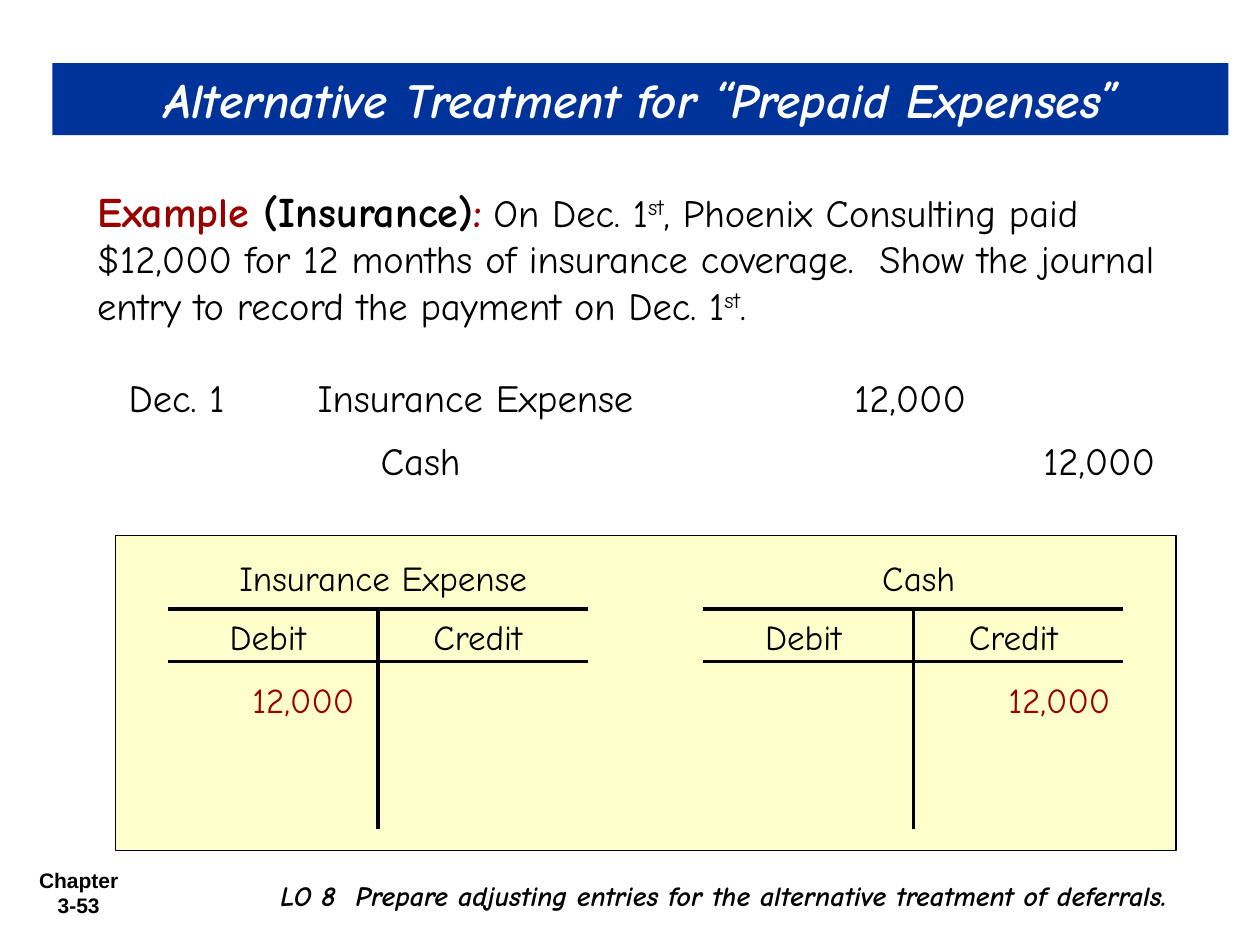
from dataclasses import dataclass

from lxml.etree import SubElement
from pptx import Presentation
from pptx.dml.color import RGBColor
from pptx.enum.shapes import MSO_CONNECTOR, MSO_SHAPE
from pptx.enum.text import MSO_ANCHOR, PP_ALIGN
from pptx.oxml.ns import qn
from pptx.slide import Slide
from pptx.util import Pt

EMU_PER_PX = 9525
BLACK, WHITE, RED, NAVY, CREAM = "000000", "FFFFFF", "990000", "003399", "FFFFCC"
LEFT, CENTER, RIGHT = PP_ALIGN.LEFT, PP_ALIGN.CENTER, PP_ALIGN.RIGHT
AMOUNT = "12,000"


def px(*lengths):
    """Turn px lengths into a list of EMU."""
    return [length * EMU_PER_PX for length in lengths]


def color(value):
    """Turn a hex string into a colour."""
    return RGBColor.from_string(value)


@dataclass
class SlideBuilder:
    """Holds the style and the current slide."""

    slide: Slide
    font_name: str = "Comic Neue"
    padding: tuple = (10, 5, 10, 5)

    def format_run(self, run, size, ink=BLACK, bold=False, italic=False, font_name=None):
        """Apply font settings to a run."""
        font = run.font
        font.name = font_name or self.font_name
        font.size = Pt(size)
        font.bold, font.italic = bold, italic
        font.color.rgb = color(ink)

    def set_frame(self, frame, padding=None, wrap=True):
        """Set insets, wrapping and top anchoring."""
        insets = px(*(padding or self.padding))
        frame.margin_left, frame.margin_top, frame.margin_right, frame.margin_bottom = insets
        frame.word_wrap = wrap
        frame.vertical_anchor = MSO_ANCHOR.TOP

    def fill_text(self, shape, text, size, align=LEFT, padding=None, wrap=True, spacing=None, **style):
        """Write one formatted paragraph into a shape."""
        frame = shape.text_frame
        self.set_frame(frame, padding, wrap)
        frame.text = text
        paragraph = frame.paragraphs[0]
        paragraph.alignment = align
        if spacing:
            paragraph.line_spacing = spacing
        self.format_run(paragraph.runs[0], size, **style)

    def title(self, box, text):
        """Place the title placeholder as a filled banner."""
        shape = self.slide.shapes.title
        shape.left, shape.top, shape.width, shape.height = px(*box)
        shape.fill.solid()
        shape.fill.fore_color.rgb = color(NAVY)
        self.fill_text(shape, text, 28, CENTER, ink=WHITE, bold=True, italic=True)

    def text(self, box, text, size=22, align=LEFT, **options):
        """Add a text box with one paragraph."""
        shape = self.slide.shapes.add_textbox(*px(*box))
        self.fill_text(shape, text, size, align, **options)

    def rich_text(self, box, parts):
        """Add a text box with runs given as text, superscript flag and style."""
        frame = self.slide.shapes.add_textbox(*px(*box)).text_frame
        self.set_frame(frame)
        for text, raised, style in parts:
            run = frame.paragraphs[0].add_run()
            run.text = text
            self.format_run(run, **style)
            if raised:
                run.font._element.set("baseline", "30000")

    def panel(self, box, outlined=False):
        """Add a cream rectangle."""
        shape = self.slide.shapes.add_shape(MSO_SHAPE.RECTANGLE, *px(*box))
        shape.shadow.inherit = False
        shape.fill.solid()
        shape.fill.fore_color.rgb = color(CREAM)
        if outlined:
            shape.line.color.rgb = color(BLACK)
            shape.line.width = Pt(1)
        else:
            shape.line.fill.background()
        return shape

    def line(self, *ends):
        """Add a black straight line."""
        connector = self.slide.shapes.add_connector(MSO_CONNECTOR.STRAIGHT, *px(*ends))
        connector.line.color.rgb = color(BLACK)
        connector.line.width = Pt(2.25)
        SubElement(connector._element.spPr, qn("a:effectLst"))

    def t_account(self, left, name, amount_side):
        """Draw a T-account with its amount on the debit or credit side."""
        top, rule, middle = 464, 504, left + 160
        sides = {"Debit": (left, 152), "Credit": (middle + 8, 136)}
        flush = (0, 0, 0, 0)
        self.text((left + 8, 424, 312, 32), name, 20, CENTER, padding=flush)
        for side, (side_left, width) in sides.items():
            self.text((side_left, top, width, 36), side, 20, CENTER, padding=flush, spacing=1.15)
        amount = self.panel((sides[amount_side][0], 512, 152, 42))
        self.fill_text(amount, AMOUNT, 20, RIGHT, ink=RED)
        for y in (top, rule):
            self.line(left, y, left + 320, y)
        self.line(middle, 632, middle, top)


def main():
    """Build and save the slide."""
    presentation = Presentation()
    presentation.slide_width, presentation.slide_height = px(960, 720)
    builder = SlideBuilder(presentation.slides.add_slide(presentation.slide_layouts[5]))

    builder.title((40, 48, 896, 55), "Alternative Treatment for “Prepaid Expenses”")

    heading = {"size": 24, "bold": True}
    body = {"size": 22}
    builder.rich_text((64, 136, 848, 119), [
        ("Example ", False, {**heading, "ink": RED}),
        ("(Insurance)", False, heading),
        (":", False, {**heading, "ink": RED}),
        (" ", False, {"size": 18, "bold": True}),
        ("On Dec. 1", False, body),
        ("st", True, body),
        (", Phoenix Consulting paid $12,000 for 12 months of insurance coverage.  "
         "Show the journal entry to record the payment on Dec. 1", False, body),
        ("st", True, body),
        (".", False, body),
    ])

    builder.text((88, 280, 128, 45), "Dec. 1", padding=(10, 5, 0, 5))
    entries = [("Insurance Expense", 280, 10, 608), ("Cash", 328, 58, 752)]
    for account, top, indent, amount_left in entries:
        builder.text((232, top, 368, 45), account, padding=(indent, 5, 10, 5))
        builder.text((amount_left, top, 128, 45), AMOUNT, align=RIGHT, padding=(29, 5, 0, 5))

    builder.panel((88, 408, 808, 240), outlined=True)
    builder.t_account(128, "Insurance Expense", "Debit")
    builder.t_account(536, "Cash", "Credit")

    builder.text((16, 656, 88, 48), "Chapter 3-53", 12, CENTER, bold=True, font_name="Arial")
    builder.text((202, 664, 699, 36),
                 "LO 8  Prepare adjusting entries for the alternative treatment of deferrals.",
                 16, CENTER, wrap=False, bold=True, italic=True)
    presentation.save("out.pptx")


if __name__ == "__main__":
    main()
